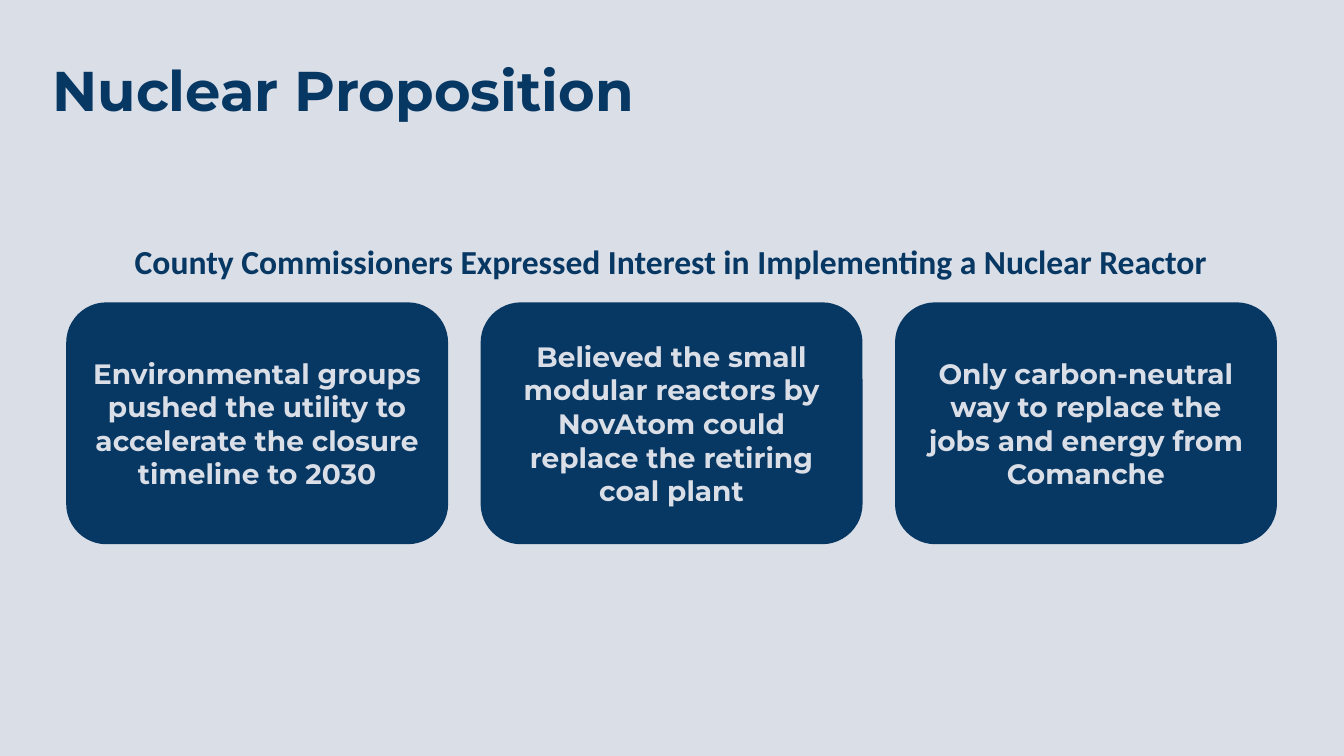
from pptx import Presentation
from pptx import util as u
from pptx.dml import color
from pptx.enum import shapes, text

COLORS = {"navy": "073763", "mist": "DADEE7"}
REASONS = [
    "Environmental groups pushed the utility to accelerate the closure timeline to 2030",
    "Believed the small modular reactors by NovAtom could replace the retiring coal plant",
    "Only carbon-neutral way to replace the jobs and energy from Comanche",
]


class SlideBuilder:
    """Holds the style and the current slide, and adds each kind of element."""

    def __init__(self, deck):
        self.page = deck.slides.add_slide(deck.slide_layouts[5])
        self.paint(self.page.background.fill, "mist")

    def paint(self, fill, name):
        fill.solid()
        fill.fore_color.rgb = color.RGBColor.from_string(COLORS[name])

    def set_text(self, shape, words, size, name, font="Montserrat", align="CENTER", anchor="TOP"):
        box = shape.text_frame
        box.word_wrap = True
        box.auto_size = text.MSO_AUTO_SIZE.NONE
        box.vertical_anchor = text.MSO_ANCHOR[anchor]
        box.margin_left = box.margin_right = u.Pt(7.2)
        box.margin_top = box.margin_bottom = u.Pt(7.2)
        para = box.paragraphs[0]
        para.text = words
        para.alignment = text.PP_ALIGN[align]
        para.font.name = font
        para.font.size = u.Pt(size)
        para.font.bold = True
        para.font.color.rgb = color.RGBColor.from_string(COLORS[name])
        return para

    def title(self, words, left, top, width, height):
        shape = self.page.shapes.title
        shape.left, shape.top = u.Pt(left), u.Pt(top)
        shape.width, shape.height = u.Pt(width), u.Pt(height)
        para = self.set_text(shape, words, 30, "navy", align="LEFT")
        para.line_spacing = 0.9

    def heading(self, words, *place):
        shape = self.page.shapes.add_textbox(*map(u.Pt, place))
        para = self.set_text(shape, words, 18, "navy", font="Calibri")
        para.line_spacing = 1.15
        para.space_before = u.Pt(3.6)

    def card(self, words, *place):
        shape = self.page.shapes.add_shape(
            shapes.MSO_SHAPE.ROUNDED_RECTANGLE, *map(u.Pt, place))
        shape.shadow.inherit = False
        shape.line.fill.background()
        self.paint(shape.fill, "navy")
        self.set_text(shape, words, 15, "mist", anchor="MIDDLE")


def main():
    deck = Presentation()
    deck.slide_width, deck.slide_height = u.Pt(720), u.Pt(405)
    slide = SlideBuilder(deck)
    slide.title("Nuclear Proposition", 20.9, 26.6, 332.6, 46.8)
    slide.heading(
        "County Commissioners Expressed Interest in Implementing a Nuclear Reactor",
        33.1, 118.8, 653, 36)
    for column, reason in enumerate(REASONS):
        slide.card(reason, 35.5 + 222 * column, 162, 204.6, 129.6)
    deck.save("out.pptx")


if __name__ == "__main__":
    main()
